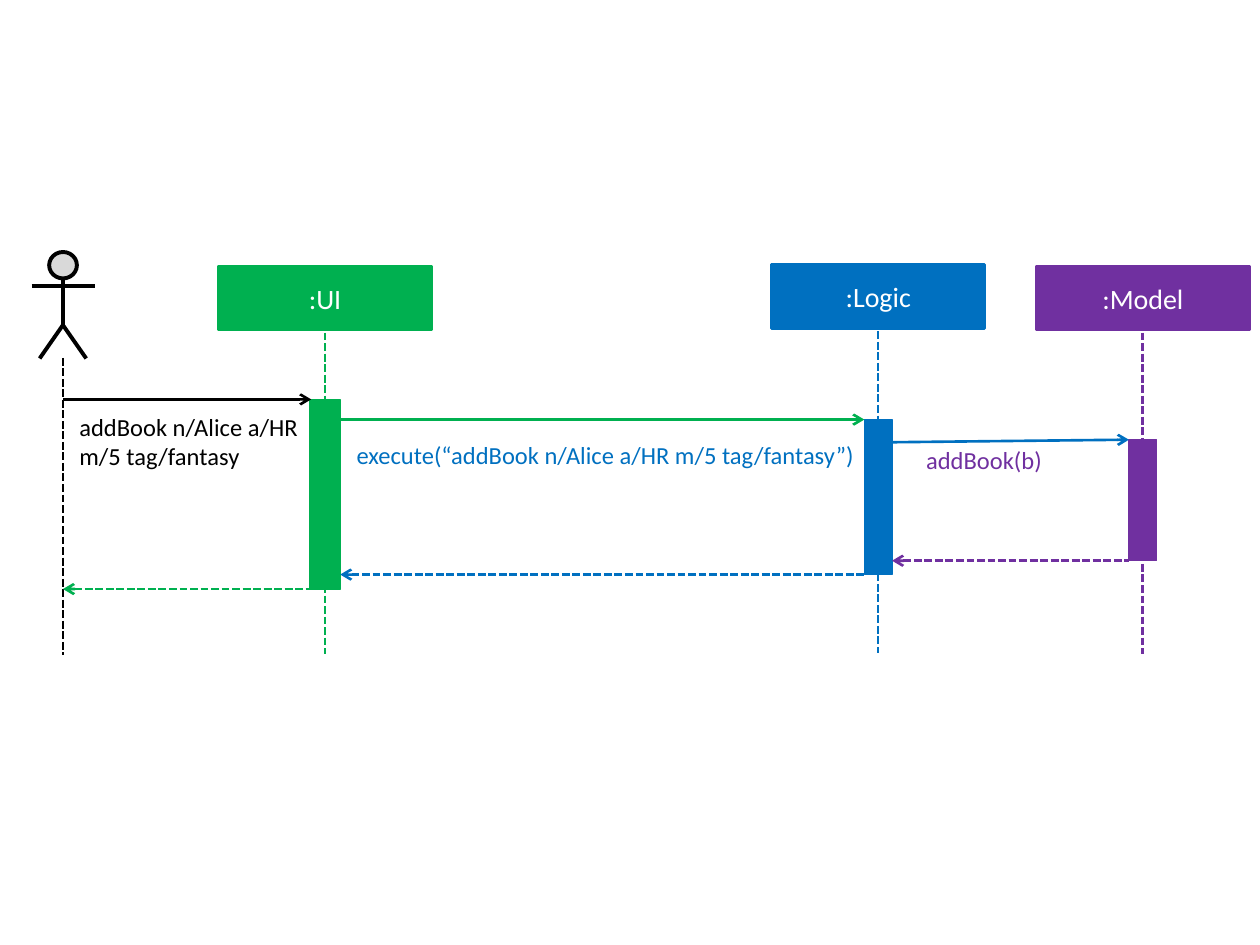
from lxml import etree
from pptx import Presentation
from pptx import util as u
from pptx.dml.color import RGBColor
from pptx.enum import dml, shapes, text
from pptx.oxml import ns

BLACK, WHITE, GREY = "000000", "FFFFFF", "D9D9D9"
GREEN, BLUE, PURPLE = "00B050", "0070C0", "7030A0"
CELL = u.Inches(0.1)  # the slide is a grid of 100 columns by 75 rows
hue = RGBColor.from_string

deck = Presentation()
deck.slide_width, deck.slide_height = 100 * CELL, 75 * CELL
slide = deck.slides.add_slide(deck.slide_layouts[6])
parts = slide.shapes


def grid(*spots):
    return [round(spot * CELL) for spot in spots]


def line(ends, tint, width=1.5, dash=False, arrow=None):
    """Draw a line; arrow is None, "head" (at its start) or "tail" (at its end)."""
    link = parts.add_connector(shapes.MSO_CONNECTOR.STRAIGHT, *grid(*ends))
    link.line.color.rgb = hue(tint)
    link.line.width = u.Pt(width)
    if dash:
        link.line.dash_style = dml.MSO_LINE.SQUARE_DOT
    if arrow:
        tip = etree.SubElement(link.line._get_or_add_ln(), ns.qn(f"a:{arrow}End"))
        tip.set("type", "arrow")
    etree.SubElement(link._element.spPr, ns.qn("a:effectLst"))


# Actor and its lifeline
user = 5
head = parts.add_shape(shapes.MSO_SHAPE.FLOWCHART_CONNECTOR,
                       *grid(user - 1.1, 20, 2.2, 2.1))
pen = parts.build_freeform(*grid(user - 1.85, 28.45), scale=1.0)
pen.add_line_segments([grid(user, 25.8), grid(user + 1.85, 28.45)], close=False)
legs = pen.convert_to_shape()
head.fill.solid()
head.fill.fore_color.rgb = hue(GREY)
legs.fill.background()
for limb in (head, legs):
    limb.shadow.inherit = False
    limb.line.color.rgb = hue(BLACK)
    limb.line.width = u.Pt(2.25)
line((user, 22.1, user, 25.9), BLACK, 2.25)
line((user - 2.5, 22.7, user + 2.5, 22.7), BLACK, 2.25)
line((user, 28.4, user, 52), BLACK, dash=True)

# Components: name, colour, middle, top of box, bar width, bar top, bar end
for name, tint, mid, top, wide, start, stop in (
        (":UI", GREEN, 25.8, 21.1, 2.4, 31.7, 46.8),
        (":Logic", BLUE, 69.7, 21, 2.2, 33.3, 45.6),
        (":Model", PURPLE, 90.7, 21.1, 2.2, 34.9, 44.5)):
    line((mid, top + 5.3, mid, top + 30.8), tint, dash=True)
    for spot, width in (((mid - 8.45, top, 16.9, 5.1), 1.5),
                        ((mid - wide / 2, start, wide, stop - start), 0.75)):
        box = parts.add_shape(shapes.MSO_SHAPE.RECTANGLE, *grid(*spot))
        box.shadow.inherit = False
        box.fill.solid()
        box.fill.fore_color.rgb = box.line.color.rgb = hue(tint)
        box.line.width = u.Pt(width)
        if width == 1.5:
            frame = box.text_frame
            frame.text = name
            frame.vertical_anchor = text.MSO_ANCHOR.MIDDLE
            par = frame.paragraphs[0]
            par.alignment = text.PP_ALIGN.CENTER
            font = par.runs[0].font
            font.name, font.size = "Calibri", u.Pt(16)
            font.color.rgb = hue(WHITE)

# Calls go right, dashed replies come back
for left, right, out, tip, back, call, reply in (
        (user, 24.7, 31.7, 31.7, 46.75, BLACK, GREEN),
        (27, 68.6, 33.3, 33.3, 45.6, GREEN, BLUE),
        (70.8, 89.6, 35.1, 34.9, 44.5, BLUE, PURPLE)):
    line((left, out, right, tip), call, arrow="tail")
    line((left, back, right, back), reply, dash=True, arrow="head")

# Call labels
for words, tint, spot in (
        ("addBook n/Alice a/HR m/5 tag/fantasy", BLACK, (6.3, 32.7, 19.9, 4.7)),
        ("execute(“addBook n/Alice a/HR m/5 tag/fantasy”)", BLUE,
         (28.3, 34.9, 40.2, 2.4)),
        ("addBook(b)", PURPLE, (73.5, 35.3, 10.1, 2.4))):
    frame = parts.add_textbox(*grid(*spot)).text_frame
    frame.text = words
    frame.word_wrap = True
    frame.auto_size = text.MSO_AUTO_SIZE.SHAPE_TO_FIT_TEXT
    frame.margin_left = frame.margin_right = 0
    frame.margin_top = frame.margin_bottom = 0
    font = frame.paragraphs[0].runs[0].font
    font.name, font.size = "Calibri", u.Pt(14)
    font.color.rgb = hue(tint)

deck.save("out.pptx")
